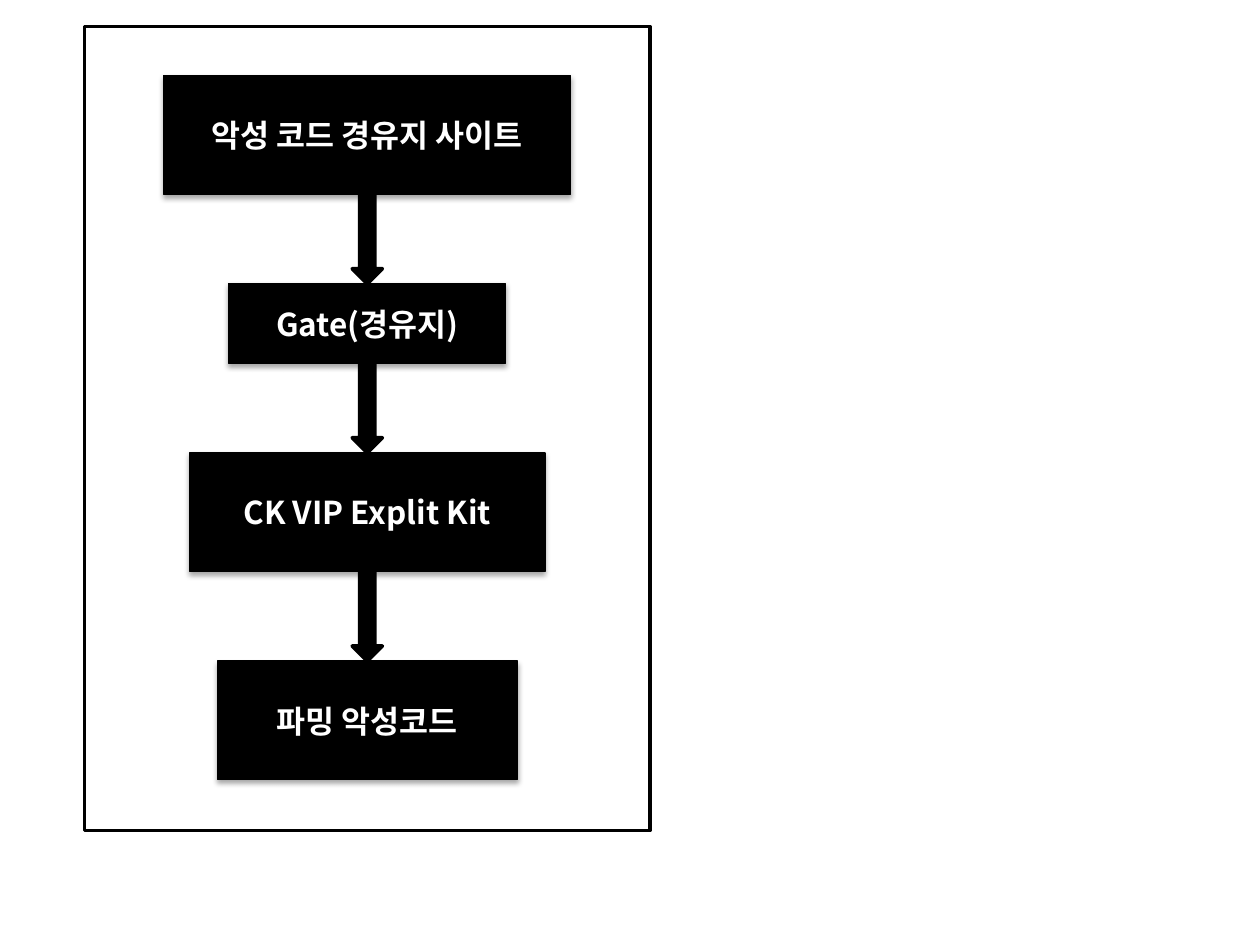
"""Builds a slide with a vertical flow of malicious code distribution."""
from lxml.etree import SubElement
from pptx import Presentation
from pptx.dml.color import RGBColor
from pptx.enum.shapes import MSO_SHAPE as Shape
from pptx.enum.text import MSO_ANCHOR as Anchor, PP_ALIGN as Align
from pptx.oxml.ns import qn
from pptx.util import Pt

BLACK = RGBColor(0, 0, 0)
WHITE = RGBColor(255, 255, 255)
FONT = "Noto Sans CJK KR"
CENTER = 209.9
FIRST_TOP = 43.2
GAP = 51.2
ARROW_WIDTH = 17.3
STEPS = [
    ("악성 코드 경유지 사이트", 232.6, 67.8),
    ("Gate(경유지)", 158.4, 45.4),
    ("CK VIP Explit Kit", 203, 67.8),
    ("파밍 악성코드", 171.4, 67.8),
]


def add_centered(slide, kind, top, width, height, line_width):
    """Add a black-lined shape centred on the flow axis."""
    shape = slide.shapes.add_shape(
        kind, Pt(CENTER - width / 2), Pt(top), Pt(width), Pt(height))
    shape.shadow.inherit = False
    shape.line.color.rgb = BLACK
    shape.line.width = Pt(line_width)
    return shape


def fill_black(shape):
    """Give a shape a solid black fill."""
    shape.fill.solid()
    shape.fill.fore_color.rgb = BLACK


def add_shadow(shape):
    """Give a shape a soft shadow falling straight down."""
    effects = shape.element.spPr.find(qn("a:effectLst"))
    shadow = SubElement(effects, qn("a:outerShdw"), blurRad=str(Pt(3.1)),
                        dist=str(Pt(1.8)), dir="5400000", rotWithShape="0")
    color = SubElement(shadow, qn("a:srgbClr"), val=str(BLACK))
    SubElement(color, qn("a:alpha"), val="35000")


def add_step(slide, text, top, width, height):
    """Add a labelled step box."""
    shape = add_centered(slide, Shape.RECTANGLE, top, width, height, 0.75)
    fill_black(shape)
    add_shadow(shape)
    shape.text_frame.vertical_anchor = Anchor.MIDDLE
    paragraph = shape.text_frame.paragraphs[0]
    paragraph.text = text
    paragraph.alignment = Align.CENTER
    font = paragraph.font
    font.name, font.size, font.bold = FONT, Pt(18), True
    font.color.rgb = WHITE
    properties = paragraph._p.pPr.find(qn("a:defRPr"))
    SubElement(properties, qn("a:ea"), typeface=FONT)


def add_arrow(slide, top):
    """Add a down arrow that fills the gap between two steps."""
    fill_black(add_centered(slide, Shape.DOWN_ARROW, top, ARROW_WIDTH, GAP, 2))


def add_frame(slide):
    """Add the outline around the flow."""
    frame = add_centered(slide, Shape.RECTANGLE, 15.1, 323.3, 459.4, 2)
    frame.fill.background()


def main():
    """Build and save the slide."""
    presentation = Presentation()
    presentation.slide_width, presentation.slide_height = Pt(720), Pt(540)
    slide = presentation.slides.add_slide(presentation.slide_layouts[6])
    top = FIRST_TOP
    arrow_tops = []
    for text, width, height in STEPS:
        add_step(slide, text, top, width, height)
        arrow_tops.append(top + height)
        top += height + GAP
    for arrow_top in arrow_tops[:-1]:
        add_arrow(slide, arrow_top)
    add_frame(slide)
    presentation.save("out.pptx")


main()
